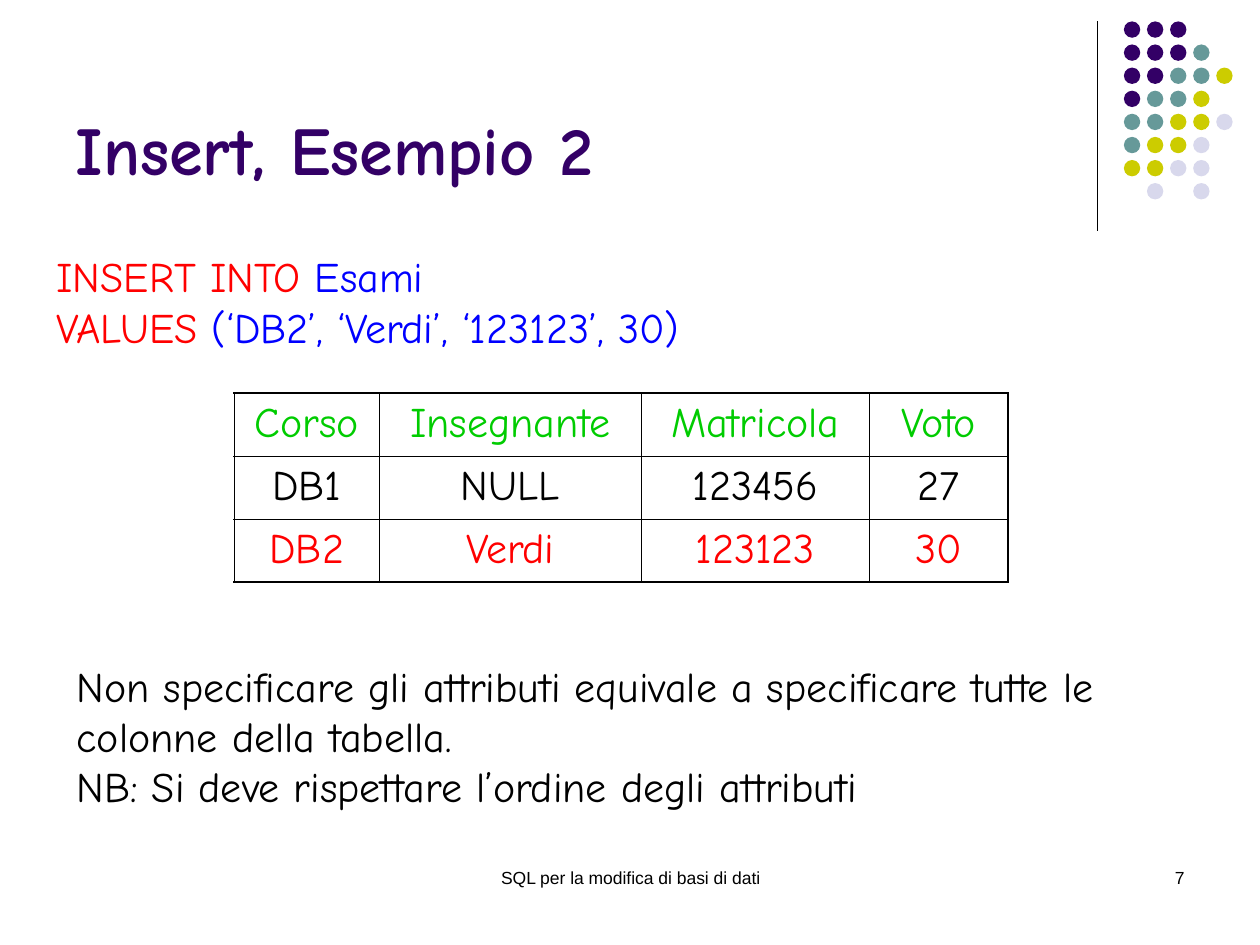
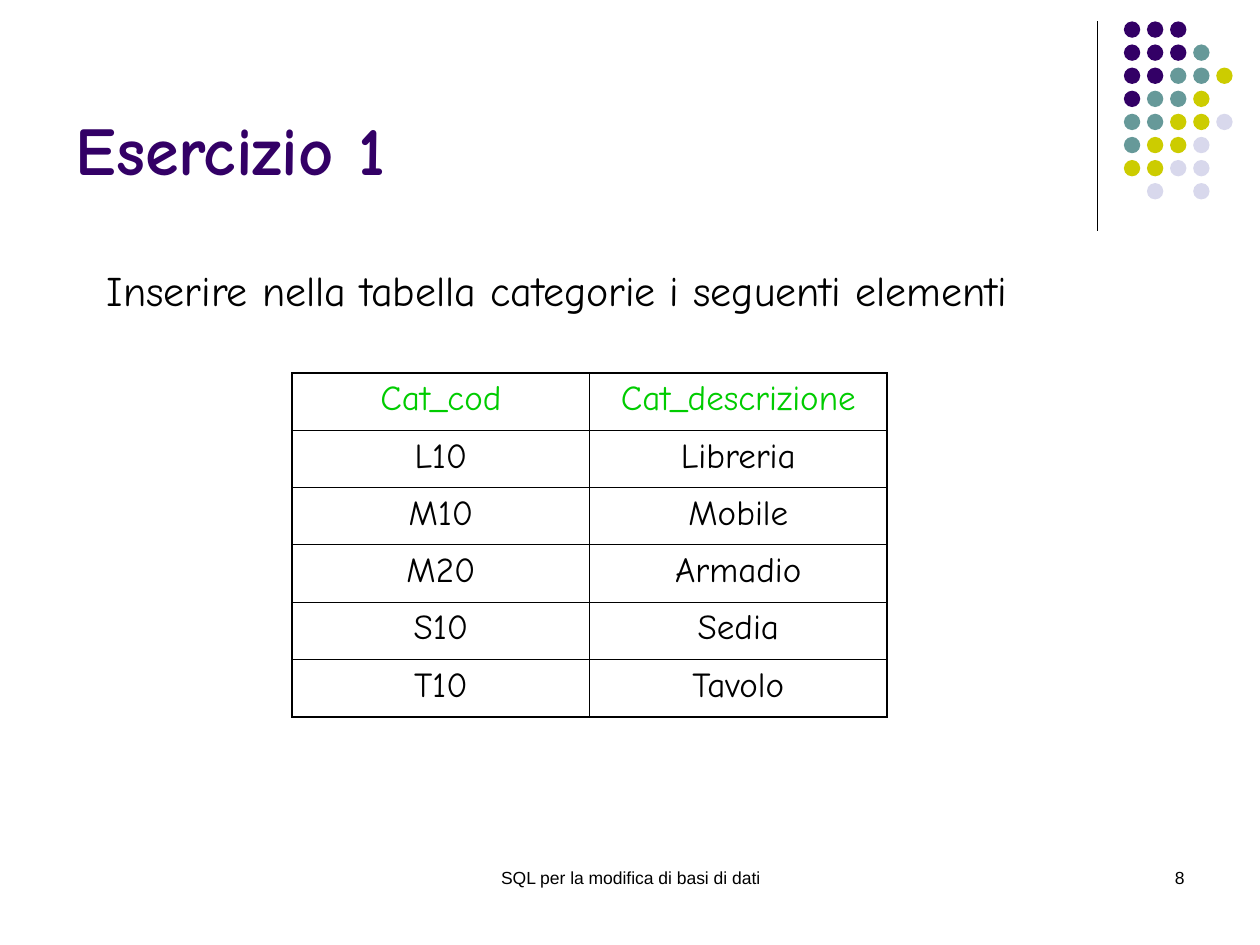
"""Two slides on SQL inserts: an example and an exercise, each with a table."""
from dataclasses import dataclass

from lxml.etree import SubElement
from pptx import Presentation
from pptx.dml.color import RGBColor as RGB
from pptx.enum.shapes import MSO_CONNECTOR as CONN, MSO_SHAPE as SHAPE
from pptx.enum.text import MSO_ANCHOR as ANCHOR, MSO_AUTO_SIZE as AUTO, PP_ALIGN as ALIGN
from pptx.oxml.ns import qn
from pptx.util import Inches, Pt


@dataclass(frozen=True)
class Theme:
    font: str = "Comic Neue"
    footer_font: str = "Arial"
    purple: str = "330066"
    teal: str = "669999"
    yellow: str = "CCCC00"
    lilac: str = "D8D8EC"
    black: str = "000000"
    red: str = "FF0000"
    blue: str = "0000FF"
    green: str = "00CC00"
    title: int = 39
    body: int = 24
    table: int = 20
    footer: int = 10
    thin: float = 0.45
    thick: float = 1.08


T = Theme()
FOOTER = "SQL per la modifica di basi di dati"
DOTS = ["PPP", "PPPT", "PPTTY", "PTTY", "TTYYL", "TYYL", "YYLL", " L L"]
DOT_COLORS = {"P": T.purple, "T": T.teal, "Y": T.yellow, "L": T.lilac}
DOT_PITCH = 0.55 / 3

SLIDES = [
    {
        "number": "7",
        "title": "Insert, Esempio 2",
        "texts": [
            ((0.35, 1.94, 8.43, 0.9), True, [
                [("INSERT INTO", T.red), (" Esami", T.blue)],
                [("VALUES", T.red), (" (‘DB2’, ‘Verdi’, ‘123123’, 30)", T.blue)],
            ]),
            ((0.51, 5.19, 9.06, 1.3), True, [
                [("Non specificare gli attributi equivale a specificare "
                  "tutte le colonne della tabella.", T.black)],
                [("NB: Si deve rispettare l’ordine degli attributi", T.black)],
            ]),
        ],
        "at": (1.86, 3.12),
        "cols": [1.15, 2.08, 1.81, 1.1],
        "row": 0.5,
        "size": T.body,
        "before": 6,
        "colors": [T.green, T.black, T.red],
        "rows": [
            ["Corso", "Insegnante", "Matricola", "Voto"],
            ["DB1", "NULL", "123456", "27"],
            ["DB2", "Verdi", "123123", "30"],
        ],
    },
    {
        "number": "8",
        "title": "Esercizio 1",
        "texts": [
            ((0.75, 2.05, 7.37, 0.5), False, [
                [("Inserire nella tabella categorie i seguenti elementi", T.black)],
            ]),
        ],
        "at": (2.32, 2.96),
        "cols": [2.36, 2.36],
        "row": 0.455,
        "size": T.table,
        "before": 5,
        "colors": [T.green] + [T.black] * 5,
        "rows": [
            ["Cat_cod", "Cat_descrizione"],
            ["L10", "Libreria"],
            ["M10", "Mobile"],
            ["M20", "Armadio"],
            ["S10", "Sedia"],
            ["T10", "Tavolo"],
        ],
    },
]


def write(tf, paragraphs, size, font=T.font, align=ALIGN.LEFT, bold=False, before=0):
    for i, runs in enumerate(paragraphs):
        p = tf.add_paragraph() if i else tf.paragraphs[0]
        p.alignment = align
        p.space_before = Pt(before)
        for text, color in runs:
            r = p.add_run()
            r.text = text
            r.font.name = font
            r.font.size = Pt(size)
            r.font.bold = bold
            r.font.color.rgb = RGB.from_string(color)


def set_border(cell, side, width):
    ln = SubElement(cell._tc.get_or_add_tcPr(), qn(f"a:ln{side}"), w=str(Pt(width)))
    fill = SubElement(ln, qn("a:solidFill"))
    SubElement(fill, qn("a:srgbClr"), val=T.black)


prs = Presentation()
prs.slide_width, prs.slide_height = Inches(10), Inches(7.5)

for data in SLIDES:
    s = prs.slides.add_slide(prs.slide_layouts[5])

    rule = s.shapes.add_connector(
        CONN.STRAIGHT, Inches(8.71), Inches(0.17), Inches(8.71), Inches(1.83))
    rule.line.color.rgb = RGB.from_string(T.black)
    rule.line.width = Pt(0.74)
    SubElement(rule._element.spPr, qn("a:effectLst"))

    for row, pattern in enumerate(DOTS):
        for col, key in enumerate(pattern):
            if key == " ":
                continue
            dot = s.shapes.add_shape(
                SHAPE.OVAL, Inches(8.92 + col * DOT_PITCH), Inches(0.17 + row * DOT_PITCH),
                Inches(0.13), Inches(0.13))
            dot.shadow.inherit = False
            dot.fill.solid()
            dot.fill.fore_color.rgb = RGB.from_string(DOT_COLORS[key])
            dot.line.fill.background()

    title = s.shapes.title
    title.left, title.top = Inches(0.5), Inches(0.13)
    title.width, title.height = Inches(8.25), Inches(1.42)
    tf = title.text_frame
    tf.auto_size = AUTO.NONE
    tf.vertical_anchor = ANCHOR.BOTTOM
    write(tf, [[(data["title"], T.purple)]], T.title, bold=True)

    for box, wrap, paragraphs in data["texts"]:
        tf = s.shapes.add_textbox(*map(Inches, box)).text_frame
        tf.word_wrap = wrap
        write(tf, paragraphs, T.body)

    rows, cols = data["rows"], data["cols"]
    left, top = data["at"]
    table = s.shapes.add_table(
        len(rows), len(cols), Inches(left), Inches(top),
        Inches(sum(cols)), Inches(data["row"] * len(rows))).table
    table.first_row = table.horz_banding = False
    for col, width in zip(table.columns, cols):
        col.width = Inches(width)
    for i, (values, color) in enumerate(zip(rows, data["colors"])):
        table.rows[i].height = Inches(data["row"])
        for j, value in enumerate(values):
            cell = table.cell(i, j)
            write(cell.text_frame, [[(value, color)]], data["size"],
                  align=ALIGN.CENTER, before=data["before"])
            edges = {"L": j == 0, "R": j == len(cols) - 1,
                     "T": i == 0, "B": i == len(rows) - 1}
            for side, outer in edges.items():
                set_border(cell, side, T.thick if outer else T.thin)
            cell.fill.background()

    for text, x, width, align in [(FOOTER, 3.42, 3.17, ALIGN.CENTER),
                                  (data["number"], 7.17, 2.33, ALIGN.RIGHT)]:
        tf = s.shapes.add_textbox(
            Inches(x), Inches(6.83), Inches(width), Inches(0.5)).text_frame
        tf.word_wrap = True
        write(tf, [[(text, T.black)]], T.footer, T.footer_font, align)

prs.save("out.pptx")
